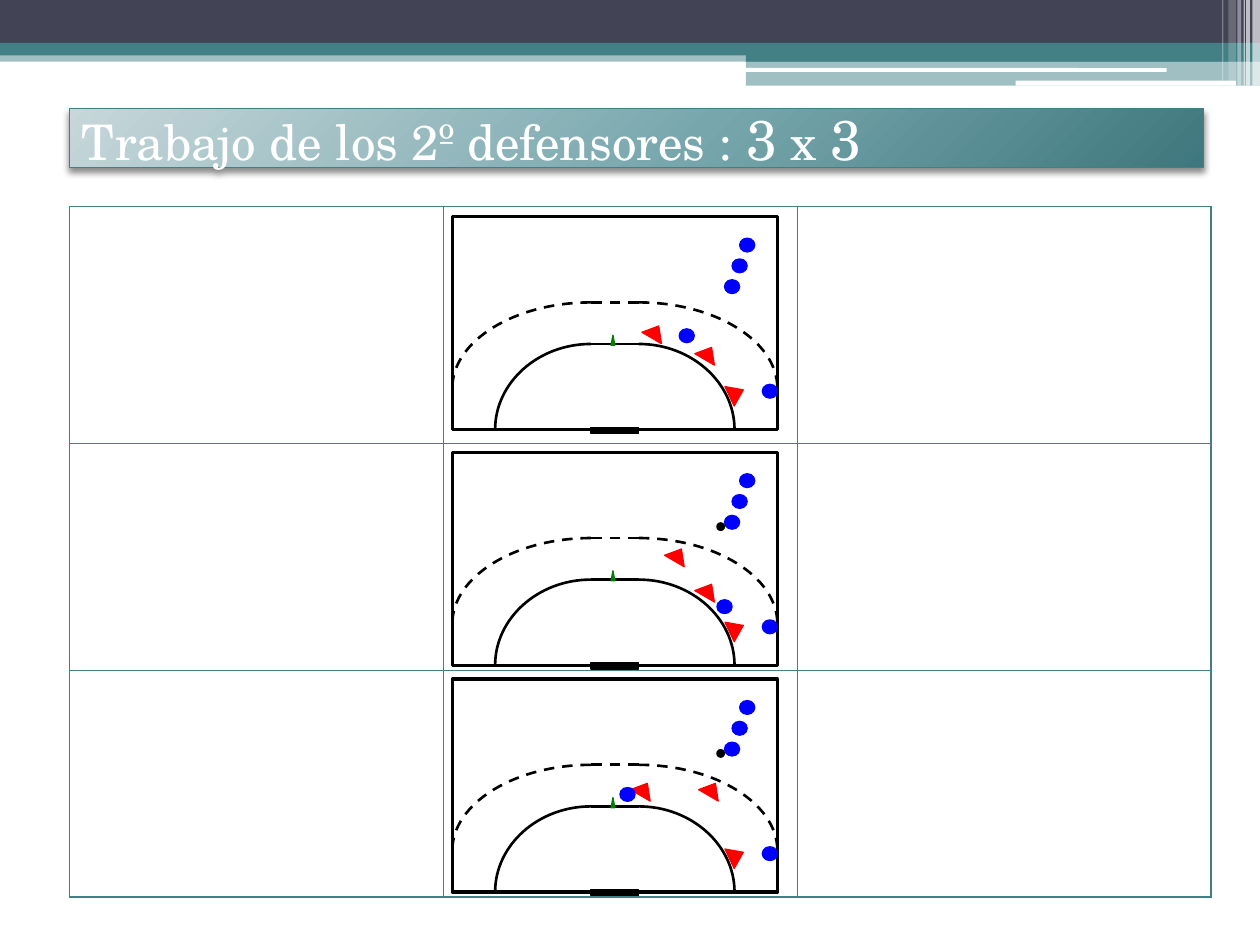
from pptx import Presentation
from pptx import util as u
from pptx.dml.color import RGBColor
from pptx.enum import dml, shapes, text
from pptx.oxml import parse_xml
from pptx.oxml.ns import nsdecls, qn

FONT = "TeX Gyre Schola"
TEAL, NAVY, WHITE, BLACK = "438086", "424456", "FFFFFF", "000000"
BLUE, RED, GREEN = "0000FF", "FF0000", "008000"
SHAPE = shapes.MSO_SHAPE
CURVE = 0.55  # control-point ratio of a quarter ellipse


def colour(value):
    return RGBColor.from_string(value)


def xml(tag, attributes="", content=""):
    return parse_xml(f"<a:{tag} {nsdecls('a')} {attributes}>{content}</a:{tag}>")


def add_text(paragraph, words, size=28, color=WHITE, font=FONT):
    run = paragraph.add_run()
    run.text = words
    run.font.size = u.Pt(size)
    run.font.name = font
    run.font.color.rgb = colour(color)


def add_shape(parent, kind, box, fill, line=None, width=0.75, rotation=0, alpha=100):
    shape = parent.shapes.add_shape(kind, *(u.Inches(value) for value in box))
    shape.shadow.inherit = False
    shape.rotation = rotation
    shape.fill.solid()
    shape.fill.fore_color.rgb = colour(fill)
    if alpha < 100:
        solid = shape._element.spPr.find(qn("a:solidFill"))
        solid[0].append(xml("alpha", f'val="{alpha * 1000}"'))
    if line:
        shape.line.color.rgb = colour(line)
        shape.line.width = u.Pt(width)
    else:
        shape.line.fill.background()
    return shape


def format_stroke(line, dashed):
    line.color.rgb = colour(BLACK)
    line.width = u.Pt(1.5)
    if dashed:
        line.dash_style = dml.MSO_LINE.DASH


def add_line(parent, start, end, dashed):
    line = parent.shapes.add_connector(
        shapes.MSO_CONNECTOR.STRAIGHT, *(u.Inches(value) for value in start + end))
    format_stroke(line.line, dashed)
    line._element.spPr.append(xml("effectLst"))


def add_quarter(parent, x, y, width, height, dashed):
    """Quarter ellipse from its top (x, y); a negative width turns it left."""
    start_x, end_x = u.Inches(x), u.Inches(x + width)
    start_y, end_y = u.Inches(y), u.Inches(y + height)
    builder = parent.shapes.build_freeform(start_x, start_y)
    builder.add_line_segments([(end_x, end_y)], close=False)
    shape = builder.convert_to_shape()
    # Turn the straight segment into a curve
    w, h = shape.width, shape.height
    points = [(CURVE * w, 0), (w, (1 - CURVE) * h), (w, h)]
    if width < 0:
        points = [(w - px, py) for px, py in points]
    segment = next(shape._element.iter(qn("a:lnTo")))
    content = "".join(f'<a:pt x="{int(px)}" y="{int(py)}"/>' for px, py in points)
    segment.getparent().replace(segment, xml("cubicBezTo", content=content))
    shape.shadow.inherit = False
    shape.fill.background()
    format_stroke(shape.line, dashed)


def draw_header(slide):
    # Bands: box, colour, opacity
    bands = [
        ((0, 0.4, 10, 0.09), TEAL, 50),
        ((0, 0, 10, 0.34), NAVY, 100),
        ((0, 0.34, 10, 0.1), TEAL, 100),
        ((5.92, 0.39, 4.08, 0.1), TEAL, 100),
        ((5.92, 0.48, 4.08, 0.2), TEAL, 50),
    ]
    for box, fill, alpha in bands:
        add_shape(slide, SHAPE.RECTANGLE, box, fill, alpha=alpha)
    for box in [(5.91, 0.54, 3.35, 0.03), (8.06, 0.64, 1.75, 0.04)]:
        add_shape(slide, SHAPE.ROUNDED_RECTANGLE, box, WHITE)
    # Stripes at the right edge: left, width, height, opacity
    stripes = [
        (9.94, 0.06, 0.68, 65), (9.89, 0.03, 0.68, 65), (9.87, 0.01, 0.68, 60),
        (9.82, 0.03, 0.68, 40), (9.75, 0.06, 0.64, 20), (9.7, 0.01, 0.64, 30),
    ]
    for left, width, height, alpha in stripes:
        add_shape(slide, SHAPE.RECTANGLE, (left, 0, width, height), WHITE, alpha=alpha)


def draw_title(title, box):
    title.left, title.top, title.width, title.height = (u.Inches(v) for v in box)
    title.line.color.rgb = colour(TEAL)
    title.line.width = u.Pt(0.75)
    # Radial gradient and soft shadow
    stops = "".join(
        f'<a:gs pos="{position}000"><a:srgbClr val="{value}"/></a:gs>'
        for position, value in [(0, "C7D7DA"), (55, "77A7AD"), (100, "3E777D")])
    title.fill.solid()
    properties = title._element.spPr
    properties.replace(properties.find(qn("a:solidFill")), xml(
        "gradFill", content=f'<a:gsLst>{stops}</a:gsLst><a:path path="circle">'
        '<a:fillToRect l="-40000" t="-90000" r="140000" b="190000"/></a:path>'))
    properties.append(xml("effectLst", content=(
        f'<a:outerShdw blurRad="{u.Pt(4)}" dist="{u.Pt(2)}" dir="5400000">'
        '<a:srgbClr val="000000"><a:alpha val="45000"/></a:srgbClr></a:outerShdw>')))
    # Wording
    frame = title.text_frame
    frame.auto_size = text.MSO_AUTO_SIZE.NONE
    frame.vertical_anchor = text.MSO_ANCHOR.MIDDLE
    paragraph = frame.paragraphs[0]
    paragraph.alignment = text.PP_ALIGN.LEFT
    for words, size in [("Trabajo de los 2º defensores : ", 28), ("3", 32),
                        (" x ", 28), ("3", 32), (" ", 28)]:
        add_text(paragraph, words, size=size)


def draw_table(slide, left, top, columns, rows):
    table = slide.shapes.add_table(
        len(rows), len(columns), u.Inches(left), u.Inches(top),
        u.Inches(sum(columns)), u.Inches(sum(rows))).table
    table.first_row = table.horz_banding = False
    for column, width in zip(table.columns, columns):
        column.width = u.Inches(width)
    for row, height in zip(table.rows, rows):
        row.height = u.Inches(height)
    for cell in table.iter_cells():
        cell.fill.background()
        properties = cell._tc.get_or_add_tcPr()
        for index, side in enumerate(("lnL", "lnR", "lnT", "lnB")):
            properties.insert(index, xml(
                side, f'w="{u.Pt(1)}"',
                f'<a:solidFill><a:srgbClr val="{TEAL}"/></a:solidFill>'))


def draw_court(slide, left, top, attackers, defenders, ball):
    """Half court with players; positions are offsets from its top left corner."""
    court = slide.shapes.add_group_shape()

    def add_part(kind, x, y, width, height, fill, line, weight=0.75, rotation=0):
        add_shape(court, kind, (left + x, top + y, width, height), fill, line,
                  weight, rotation)

    # Outline, goal and area lines
    add_part(SHAPE.RECTANGLE, 0, 0, 2.58, 1.69, WHITE, BLACK, 2)
    add_part(SHAPE.RECTANGLE, 1.1, 1.67, 0.38, 0.05, BLACK, BLACK)
    for y, radius, dashed in [(1.01, 0.76, False), (0.68, 1.1, True)]:
        add_quarter(court, left + 1.48, top + y, radius, 0.68, dashed)
        add_quarter(court, left + 1.1, top + y, -radius, 0.68, dashed)
        add_line(court, (left + 1.48, top + y), (left + 1.1, top + y), dashed)
    # Goalkeeper mark, defenders, attackers and ball
    add_part(SHAPE.ISOSCELES_TRIANGLE, 1.26, 0.94, 0.03, 0.08, GREEN, GREEN)
    for x, y in defenders:
        add_part(SHAPE.ISOSCELES_TRIANGLE, x, y, 0.18, 0.11, RED, RED, rotation=30.2)
    add_part(SHAPE.ISOSCELES_TRIANGLE, 2.17, 1.34, 0.17, 0.12, RED, RED, rotation=64.6)
    waiting = [(2.16 + 0.06 * i, 0.5 - 0.165 * i) for i in range(3)]
    for x, y in waiting + [(2.46, 1.33)] + attackers:
        add_part(SHAPE.OVAL, x, y, 0.12, 0.11, BLUE, BLUE)
    if ball:
        add_part(SHAPE.OVAL, *ball, 0.06, 0.06, BLACK, BLACK)


def main():
    presentation = Presentation()
    presentation.slide_width, presentation.slide_height = u.Inches(10), u.Inches(7.5)
    slide = presentation.slides.add_slide(presentation.slide_layouts[5])
    draw_header(slide)
    draw_title(slide.shapes.title, (0.55, 0.86, 9, 0.47))
    draw_table(slide, 0.55, 1.64, [2.97, 2.81, 3.28], [1.88, 1.8, 1.8])
    # Courts: top, moving attacker, two defenders, ball
    ball = (2.1, 0.56)
    for top, attacker, defenders, ball_place in [
        (1.72, (1.8, 0.89), [(1.52, 0.86), (1.94, 1.03)], None),
        (3.59, (2.1, 1.17), [(1.7, 0.76), (1.94, 1.04)], ball),
        (5.39, (1.33, 0.86), [(1.43, 0.82), (1.97, 0.82)], ball),
    ]:
        draw_court(slide, 3.59, top, [attacker], defenders, ball_place)
    presentation.save("out.pptx")


if __name__ == "__main__":
    main()
